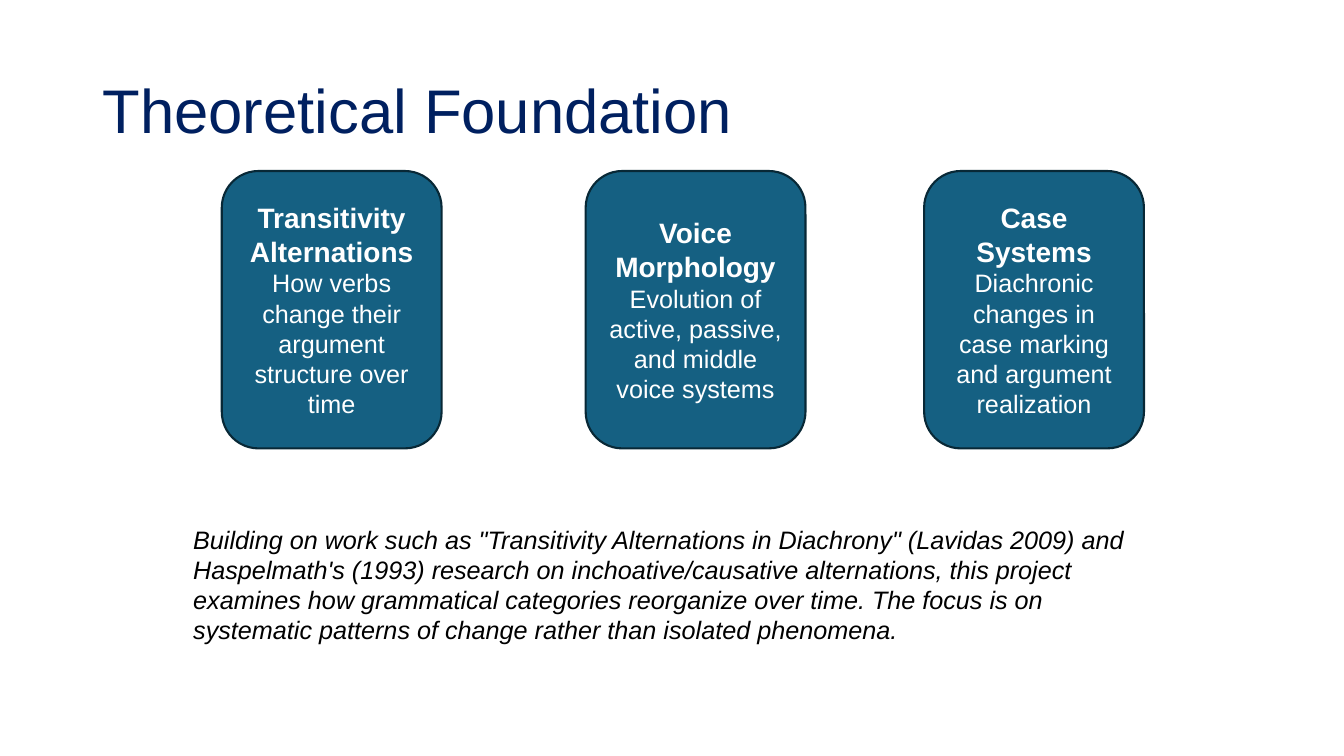
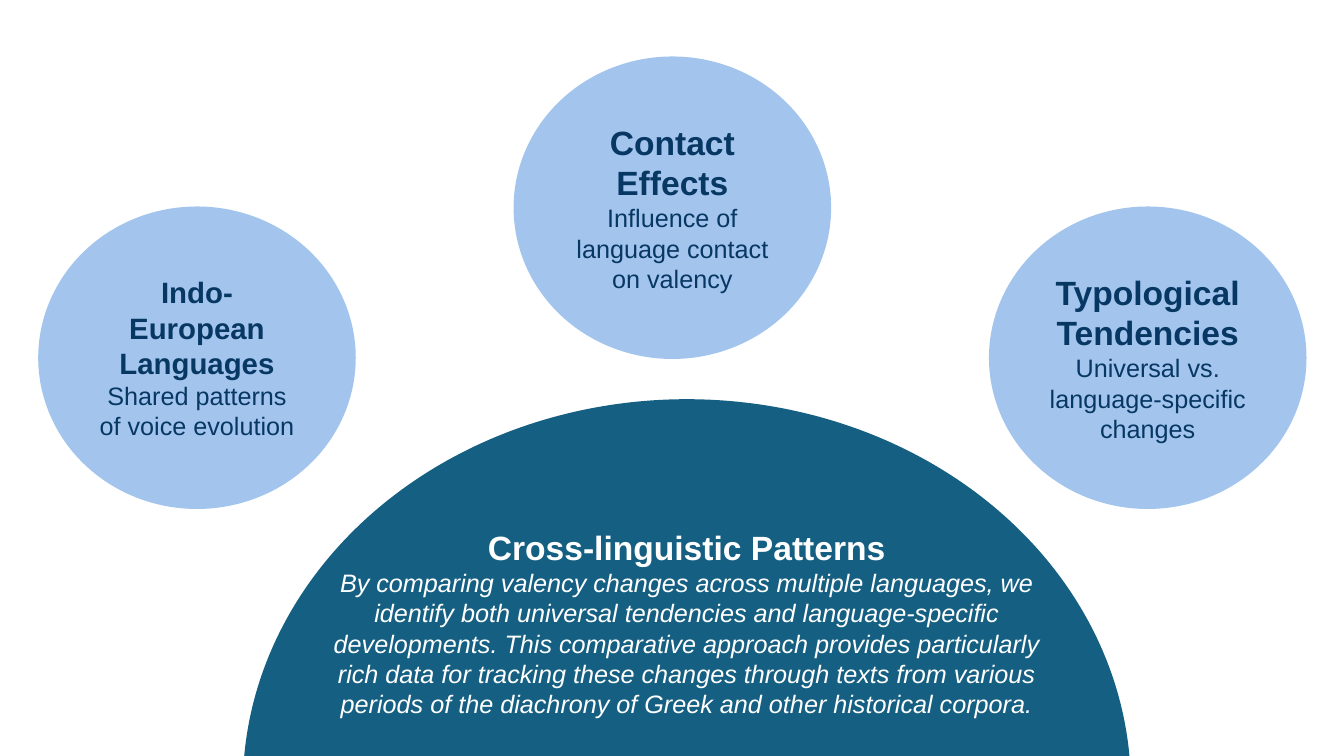
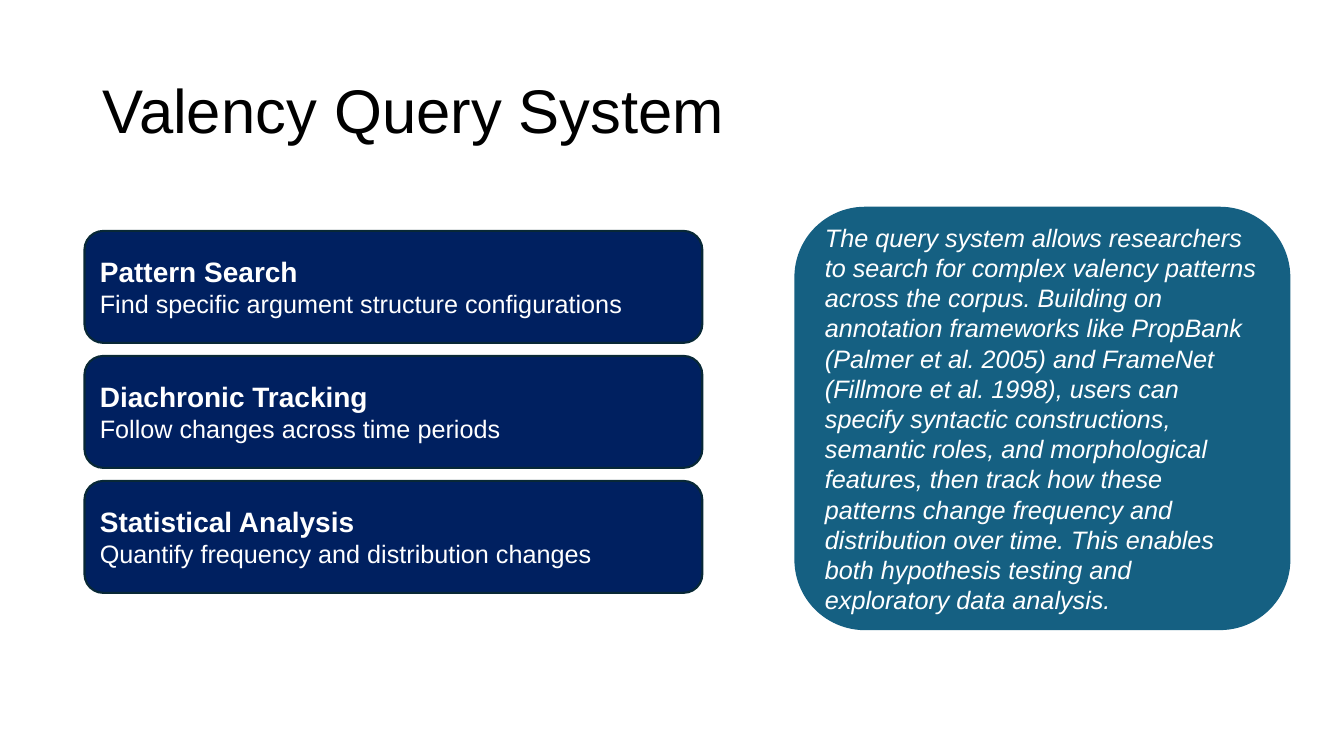
"""Build three slides on valency change across languages."""

from dataclasses import dataclass

import pptx
import pptx.dml.color
import pptx.enum.shapes
import pptx.enum.text
import pptx.presentation
import pptx.shapes.autoshape
import pptx.slide
import pptx.text.text
import pptx.util

Cm = pptx.util.Cm
Pt = pptx.util.Pt
RGBColor = pptx.dml.color.RGBColor
Shape = pptx.enum.shapes.MSO_SHAPE
Align = pptx.enum.text.PP_ALIGN
Anchor = pptx.enum.text.MSO_ANCHOR

FONT = "Arial"
NAVY = RGBColor(0x00, 0x20, 0x60)
TEAL = RGBColor(0x15, 0x60, 0x82)
OUTLINE = RGBColor(0x08, 0x28, 0x36)
SKY = RGBColor(0xA3, 0xC5, 0xED)
INK = RGBColor(0x07, 0x37, 0x63)
WHITE = RGBColor(0xFF, 0xFF, 0xFF)
BLACK = RGBColor(0x00, 0x00, 0x00)

TITLE_ONLY, BLANK = 5, 6


@dataclass(frozen=True)
class Area:
    """A rectangle on the page, in centimetres."""

    left: float
    top: float
    width: float
    height: float

    def lengths(self) -> tuple[Cm, Cm, Cm, Cm]:
        """Return left, top, width and height as lengths."""
        return Cm(self.left), Cm(self.top), Cm(self.width), Cm(self.height)


@dataclass(frozen=True)
class Line:
    """A paragraph with its size and emphasis."""

    text: str
    size: float = 18
    bold: bool = False
    italic: bool = False


@dataclass(frozen=True)
class Style:
    """The look of a filled shape and its text."""

    preset: Shape
    fill: RGBColor
    outline: RGBColor | None
    ink: RGBColor
    align: Align


@dataclass(frozen=True)
class Topic:
    """A heading with a description, placed by its top left corner."""

    left: float
    top: float
    heading: str
    detail: str
    size: float = 20

    def lines(self) -> list[Line]:
        """Return the bold heading and the plain description."""
        return [Line(self.heading, self.size, bold=True), Line(self.detail)]


CARD = Style(Shape.ROUNDED_RECTANGLE, TEAL, OUTLINE, WHITE, Align.CENTER)
BAR = Style(Shape.ROUNDED_RECTANGLE, NAVY, OUTLINE, WHITE, Align.LEFT)
PANEL = Style(Shape.ROUNDED_RECTANGLE, TEAL, None, WHITE, Align.LEFT)
CIRCLE = Style(Shape.OVAL, SKY, SKY, INK, Align.CENTER)
DOME = Style(Shape.OVAL, TEAL, None, WHITE, Align.CENTER)


def write(frame: pptx.text.text.TextFrame, lines: list[Line],
          ink: RGBColor, align: Align, anchor: Anchor) -> None:
    """Fill a text frame with formatted paragraphs."""
    frame.word_wrap = True
    frame.auto_size = pptx.enum.text.MSO_AUTO_SIZE.NONE
    frame.vertical_anchor = anchor
    for index, line in enumerate(lines):
        para = frame.add_paragraph() if index else frame.paragraphs[0]
        para.text = line.text
        para.alignment = align
        para.font.name = FONT
        para.font.size = Pt(line.size)
        para.font.bold = line.bold
        para.font.italic = line.italic
        para.font.color.rgb = ink


def add_title(page: pptx.slide.Slide, text: str, ink: RGBColor) -> None:
    """Place and format the title of a page."""
    title = page.shapes.title
    title.left, title.top, title.width, title.height = Area(2.33, 1.02, 29.21, 3.68).lengths()
    write(title.text_frame, [Line(text, 44)], ink, Align.LEFT, Anchor.MIDDLE)
    title.text_frame.paragraphs[0].line_spacing = 0.9


def add_shape(page: pptx.slide.Slide, area: Area, style: Style,
              lines: list[Line]) -> None:
    """Draw a filled shape with its text."""
    shape = page.shapes.add_shape(style.preset, *area.lengths())
    shape.shadow.inherit = False
    shape.fill.solid()
    shape.fill.fore_color.rgb = style.fill
    if style.outline is None:
        shape.line.fill.background()
    else:
        shape.line.color.rgb = style.outline
        shape.line.width = Pt(1.5)
    write(shape.text_frame, lines, style.ink, style.align, Anchor.MIDDLE)


def add_topics(page: pptx.slide.Slide, topics: list[Topic], width: float,
               height: float, style: Style) -> None:
    """Draw topics as shapes of one size and style."""
    for topic in topics:
        add_shape(page, Area(topic.left, topic.top, width, height), style, topic.lines())


def add_text(page: pptx.slide.Slide, area: Area, lines: list[Line],
             ink: RGBColor, align: Align) -> None:
    """Add a wrapped text box."""
    box = page.shapes.add_textbox(*area.lengths())
    write(box.text_frame, lines, ink, align, Anchor.TOP)


def build_foundation(deck: pptx.presentation.Presentation) -> None:
    """Build the page on the theoretical foundation."""
    page = deck.slides.add_slide(deck.slide_layouts[TITLE_ONLY])
    add_title(page, "Theoretical Foundation", NAVY)
    top = 4.31
    cards = [
        Topic(5.59, top, "Transitivity Alternations",
              "How verbs change their argument structure over time"),
        Topic(14.76, top, "Voice Morphology",
              "Evolution of active, passive, and middle voice systems"),
        Topic(23.29, top, "Case Systems",
              "Diachronic changes in case marking and argument realization"),
    ]
    add_topics(page, cards, 5.54, 6.99, CARD)
    add_text(page, Area(4.62, 13.08, 24.23, 4.11), [Line(
        'Building on work such as "Transitivity Alternations in Diachrony" '
        "(Lavidas 2009) and Haspelmath's (1993) research on inchoative/causative "
        "alternations, this project examines how grammatical categories reorganize "
        "over time. The focus is on systematic patterns of change rather than "
        "isolated phenomena.", italic=True)], BLACK, Align.LEFT)


def build_patterns(deck: pptx.presentation.Presentation) -> None:
    """Build the page on cross-linguistic patterns."""
    page = deck.slides.add_slide(deck.slide_layouts[BLANK])
    add_shape(page, Area(6.12, 10.06, 22.38, 19.53), DOME, [])
    add_text(page, Area(8.15, 13.16, 18.31, 5.89), [
        Line("Cross-linguistic Patterns", 24, bold=True),
        Line("By comparing valency changes across multiple languages, we identify "
             "both universal tendencies and language-specific developments. This "
             "comparative approach provides particularly rich data for tracking these "
             "changes through texts from various periods of the diachrony of Greek "
             "and other historical corpora.", italic=True),
    ], WHITE, Align.CENTER)
    left, step, side_top, middle_top = 0.99, 11.98, 5.23, 1.45
    circles = [
        Topic(left, side_top, "Indo-European Languages",
              "Shared patterns of voice evolution", 21),
        Topic(left + step, middle_top, "Contact Effects",
              "Influence of language contact on valency", 24),
        Topic(left + 2 * step, side_top, "Typological Tendencies",
              "Universal vs. language-specific changes", 24),
    ]
    add_topics(page, circles, 7.95, 7.57, CIRCLE)


def build_query_system(deck: pptx.presentation.Presentation) -> None:
    """Build the page on the valency query system."""
    page = deck.slides.add_slide(deck.slide_layouts[TITLE_ONLY])
    add_title(page, "Valency Query System", BLACK)
    features = [
        ("Pattern Search", "Find specific argument structure configurations"),
        ("Diachronic Tracking", "Follow changes across time periods"),
        ("Statistical Analysis", "Quantify frequency and distribution changes"),
    ]
    bars = [Topic(2.13, 5.82 + 3.15 * row, heading, detail)
            for row, (heading, detail) in enumerate(features)]
    add_topics(page, bars, 15.57, 2.82, BAR)
    add_shape(page, Area(20.02, 5.21, 12.5, 10.67), PANEL, [Line(
        "The query system allows researchers to search for complex valency patterns "
        "across the corpus. Building on annotation frameworks like PropBank (Palmer "
        "et al. 2005) and FrameNet (Fillmore et al. 1998), users can specify syntactic "
        "constructions, semantic roles, and morphological features, then track how "
        "these patterns change frequency and distribution over time. This enables both "
        "hypothesis testing and exploratory data analysis.", italic=True)])


def main() -> None:
    """Build and save the deck."""
    deck = pptx.Presentation()
    deck.slide_width, deck.slide_height = Cm(33.87), Cm(19.05)
    build_foundation(deck)
    build_patterns(deck)
    build_query_system(deck)
    deck.save("out.pptx")


if __name__ == "__main__":
    main()
